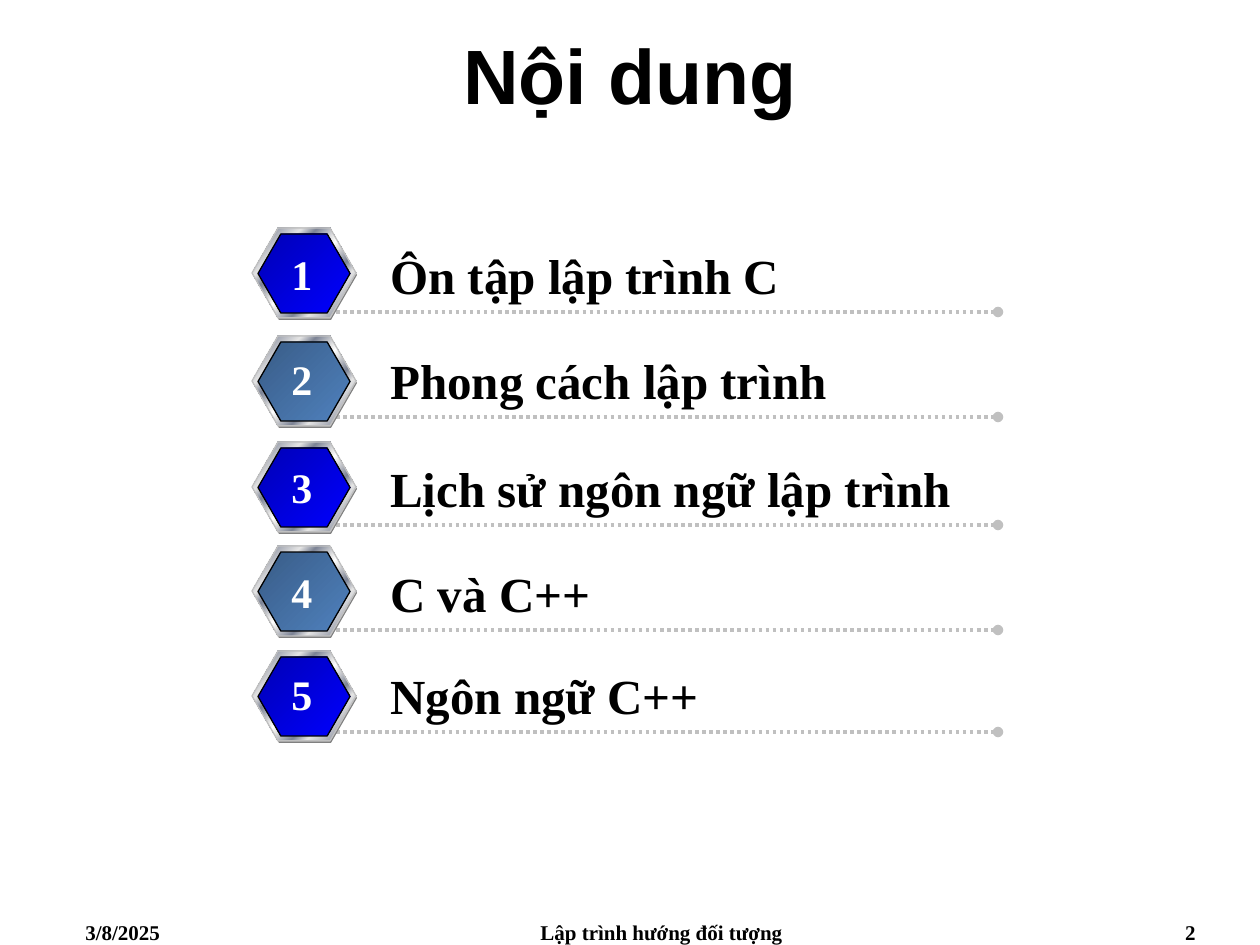
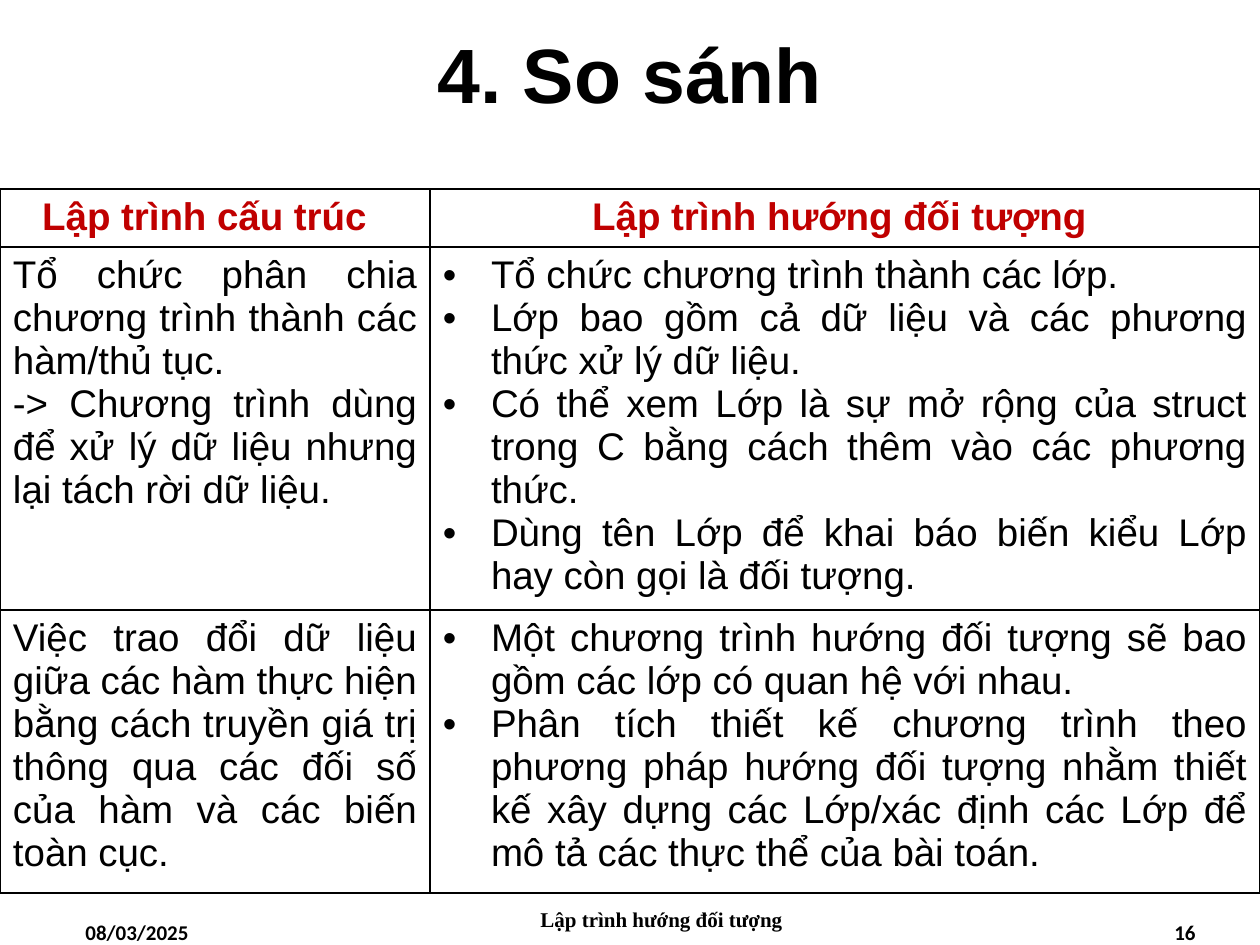
from dataclasses import dataclass
from typing import Optional

from lxml.etree import SubElement as Sub
from pptx import Presentation
from pptx.dml.color import RGBColor as Rgb
from pptx.enum.dml import MSO_LINE as Dash
from pptx.enum.shapes import MSO_CONNECTOR as Link, MSO_SHAPE as Kind
from pptx.enum.text import MSO_ANCHOR as Anchor, MSO_AUTO_SIZE as Fit, PP_ALIGN as Align
from pptx.oxml.ns import qn
from pptx.util import Emu, Pt

SCALE = 914400 / 126
WIDE, HIGH = 1260, 945
SERIF, SANS, PLAIN = "Times New Roman", "Arial", "Calibri"
HUES = {
    "black": "000000", "white": "FFFFFF", "red": "C00000",
    "shade": "808080", "rule": "C0C0C0",
    "light": "E6E6E6", "steel": "7D8496",
    "navy": "0000B6", "blue": "0000FF", "slate": "395C87", "sky": "4F81BD",
}
METAL = [(0, "light"), (7, "steel"), (26, "light"), (34, "steel"), (46, "light"),
         (50, "white"), (54, "light"), (66, "steel"), (74, "light"),
         (93, "steel"), (100, "light")]
CORES = [[(0, "navy"), (100, "blue")], [(0, "slate"), (100, "sky")]]


@dataclass(frozen=True)
class Box:
    left: int
    top: int
    width: int
    height: int

    def emu(self) -> tuple:
        return tuple(px(n) for n in (self.left, self.top, self.width, self.height))


@dataclass(frozen=True)
class Font:
    face: str
    size: int
    hue: str = "black"
    bold: bool = True


@dataclass(frozen=True)
class Topic:
    text: str
    ring: int
    rule: int


@dataclass(frozen=True)
class Foot:
    text: str
    box: Box
    face: str
    align: Align


@dataclass(frozen=True)
class Entry:
    lines: tuple
    font: Font
    align: Align = Align.JUSTIFY
    dots: bool = False
    pad: int = 13


HEAD = Font(SANS, 44)
TOPIC = Font(SERIF, 28)
DIGIT = Font(SERIF, 24, "white")
TOP = Font(SANS, 22, "red")
CELL = Font(SANS, 22, bold=False)
PITCH = Pt(24.6)

TOPICS = [
    Topic("Ôn tập lập trình C", 228, 312),
    Topic("Phong cách lập trình", 336, 417),
    Topic("Lịch sử ngôn ngữ lập trình", 442, 525),
    Topic("C và C++", 546, 630),
    Topic("Ngôn ngữ C++", 651, 732),
]

GRID = [
    [Entry(("Lập trình cấu trúc",), TOP, Align.CENTER, pad=34),
     Entry(("Lập trình hướng đối tượng",), TOP, Align.CENTER, pad=24)],
    [Entry(("Tổ chức phân chia chương trình thành các hàm/thủ tục.",
            "-> Chương trình dùng để xử lý dữ liệu nhưng lại tách rời dữ liệu."), CELL),
     Entry(("Tổ chức chương trình thành các lớp.",
            "Lớp bao gồm cả dữ liệu và các phương thức xử lý dữ liệu.",
            "Có thể xem Lớp là sự mở rộng của struct trong C bằng cách thêm vào "
            "các phương thức.",
            "Dùng tên Lớp để khai báo biến kiểu Lớp hay còn gọi là đối tượng."),
           CELL, dots=True)],
    [Entry(("Việc trao đổi dữ liệu giữa các hàm thực hiện bằng cách truyền giá trị "
            "thông qua các đối số của hàm và các biến toàn cục.",), CELL),
     Entry(("Một chương trình hướng đối tượng sẽ bao gồm các lớp có quan hệ với nhau.",
            "Phân tích thiết kế chương trình theo phương pháp hướng đối tượng nhằm "
            "thiết kế xây dựng các Lớp/xác định các Lớp để mô tả các thực thể của "
            "bài toán."), CELL, dots=True)],
]
COLS = [430, 830]
ROWS = [58, 363, 283]


def px(n: float) -> Emu:
    return Emu(round(n * SCALE))


def tint(name: str) -> Rgb:
    return Rgb.from_string(HUES[name])


def write(para, text: str, font: Font, align: Optional[Align] = None) -> None:
    run = para.add_run()
    run.text = text
    run.font.name = font.face
    run.font.size = Pt(font.size)
    run.font.bold = font.bold
    run.font.color.rgb = tint(font.hue)
    para.alignment = align


def label(slide, box: Box, text: str, font: Font, align: Align = Align.LEFT,
          wrap: bool = True) -> None:
    frame = slide.shapes.add_textbox(*box.emu()).text_frame
    frame.word_wrap = wrap
    write(frame.paragraphs[0], text, font, align)


def blend(shape, stops: list) -> None:
    shape.fill.gradient()
    shape.fill.gradient_angle = 315
    series = shape._element.spPr.find(qn("a:gradFill")).find(qn("a:gsLst"))
    for old in list(series):
        series.remove(old)
    for spot, name in stops:
        stop = Sub(series, qn("a:gs"), pos=str(spot * 1000))
        Sub(stop, qn("a:srgbClr"), val=HUES[name])


def hexa(slide, box: Box, stops: Optional[list], edge: Optional[str]) -> None:
    shape = slide.shapes.add_shape(Kind.HEXAGON, *box.emu())
    shape.adjustments[0] = 0.289
    shape.shadow.inherit = False
    if stops:
        blend(shape, stops)
    else:
        shape.fill.solid()
        shape.fill.fore_color.rgb = tint("shade")
    if edge:
        shape.line.color.rgb = tint(edge)
        shape.line.width = Pt(0.75)
    else:
        shape.line.fill.background()


def rule(slide, left: int, right: int, y: int) -> None:
    line = slide.shapes.add_connector(Link.STRAIGHT, px(left), px(y), px(right), px(y))
    line.line.color.rgb = tint("rule")
    line.line.width = Pt(2)
    line.line.dash_style = Dash.ROUND_DOT
    props = line._element.spPr
    Sub(props.find(qn("a:ln")), qn("a:tailEnd"), type="oval")
    Sub(props, qn("a:effectLst"))


def topic(slide, index: int, item: Topic) -> None:
    rule(slide, 336, 998, item.rule)
    hexa(slide, Box(253, item.ring + 2, 104, 90), None, None)
    hexa(slide, Box(252, item.ring, 104, 90), METAL, "rule")
    hexa(slide, Box(258, item.ring + 6, 92, 79), CORES[index % 2], "black")
    label(slide, Box(378, item.rule - 73, 620, 72), item.text, TOPIC)
    label(slide, Box(279, item.rule - 70, 46, 63), str(index + 1), DIGIT,
          Align.CENTER, wrap=False)


def fill(cell, item: Entry) -> None:
    cell.margin_left, cell.margin_right = px(13), px(item.pad)
    cell.fill.background()
    props = cell._tc.get_or_add_tcPr()
    for spot, side in enumerate(("lnL", "lnR", "lnT", "lnB")):
        edge = Sub(props, qn(f"a:{side}"), w=str(Pt(1)))
        paint = Sub(edge, qn("a:solidFill"))
        Sub(paint, qn("a:srgbClr"), val=HUES["black"])
        props.insert(spot, edge)
    frame = cell.text_frame
    for spot, text in enumerate(item.lines):
        para = frame.add_paragraph() if spot else frame.paragraphs[0]
        write(para, text, item.font, item.align)
        para.line_spacing = PITCH
        if item.dots:
            form = para._p.get_or_add_pPr()
            form.set("marL", str(px(48)))
            form.set("indent", str(-px(48)))
            Sub(form, qn("a:buFont"), typeface=SANS)
            Sub(form, qn("a:buChar"), char="•")


def table(slide, box: Box) -> None:
    grid = slide.shapes.add_table(len(ROWS), len(COLS), *box.emu()).table
    grid.first_row = grid.horz_banding = False
    for col, width in zip(grid.columns, COLS):
        col.width = px(width)
    for row, height, items in zip(grid.rows, ROWS, GRID):
        row.height = px(height)
        for cell, item in zip(row.cells, items):
            fill(cell, item)


def start(deck, title: str, top: int, feet: list):
    slide = deck.slides.add_slide(deck.slide_layouts[5])
    head = slide.shapes.title
    head.left, head.top, head.width, head.height = Box(0, top, WIDE, 147).emu()
    frame = head.text_frame
    frame.auto_size = Fit.NONE
    frame.vertical_anchor = Anchor.MIDDLE
    write(frame.paragraphs[0], title, HEAD, Align.CENTER)
    for foot in feet:
        label(slide, foot.box, foot.text, Font(foot.face, 12), foot.align)
    return slide


def feet(date: str, page: str, face: str, mid: int) -> list:
    return [
        Foot(date, Box(73, 913, 294, 32), face, Align.LEFT),
        Foot("Lập trình hướng đối tượng", Box(462, mid, 399, 32), SERIF, Align.CENTER),
        Foot(page, Box(914, 913, 294, 32), face, Align.RIGHT),
    ]


def main() -> None:
    deck = Presentation()
    deck.slide_width, deck.slide_height = px(WIDE), px(HIGH)
    slide = start(deck, "Nội dung", 0, feet("3/8/2025", "2", SERIF, 913))
    for index, item in enumerate(TOPICS):
        topic(slide, index, item)
    slide = start(deck, "4. So sánh", -1, feet("08/03/2025", "16", PLAIN, 900))
    table(slide, Box(0, 189, sum(COLS), sum(ROWS)))
    deck.save("out.pptx")


if __name__ == "__main__":
    main()
